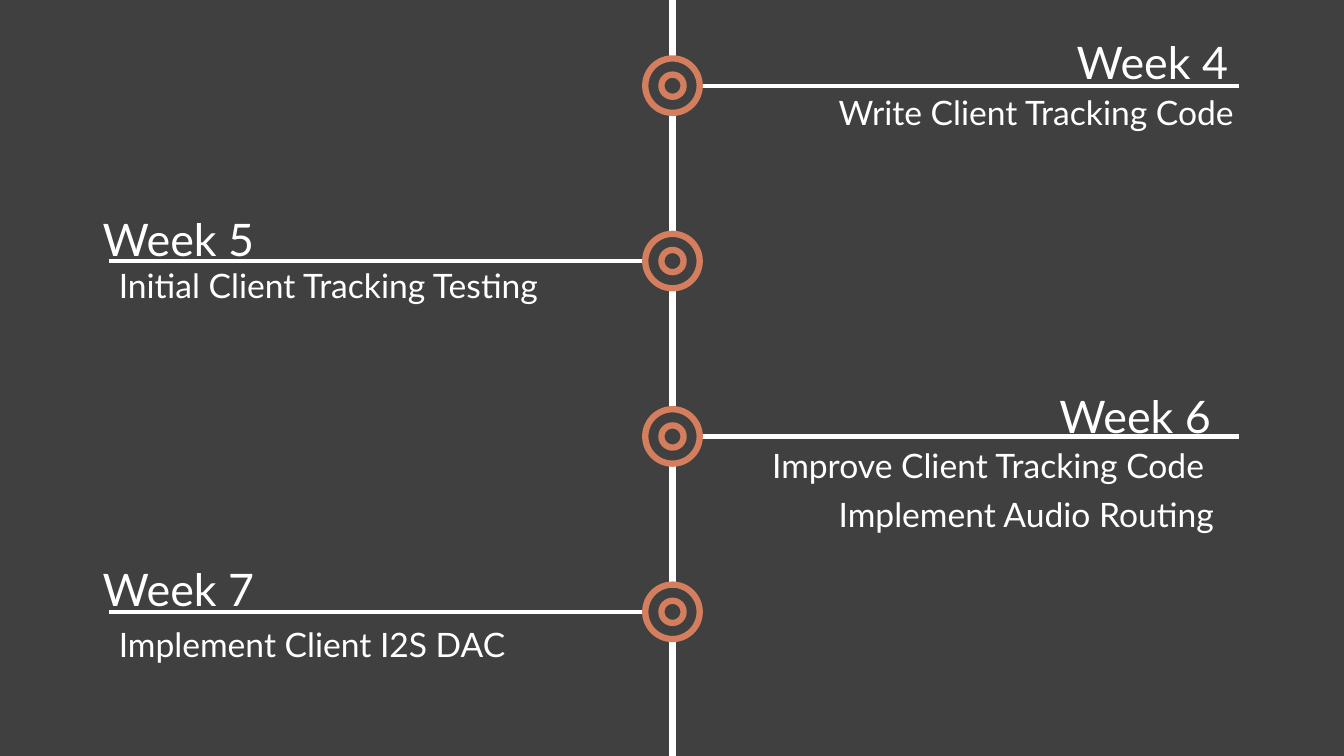
from dataclasses import dataclass

from pptx import Presentation
from pptx.dml.color import RGBColor
from pptx.enum.shapes import MSO_CONNECTOR, MSO_SHAPE
from pptx.util import Inches, Pt
from lxml import etree

LINE = MSO_CONNECTOR.STRAIGHT
OVAL = MSO_SHAPE.OVAL
DRAW_NS = "http://schemas.openxmlformats.org/drawingml/2006/main"


@dataclass(frozen=True)
class Theme:
    back: RGBColor = RGBColor(0x40, 0x40, 0x40)
    ink: RGBColor = RGBColor(0xFF, 0xFF, 0xFF)
    ring: RGBColor = RGBColor(0xD4, 0x7E, 0x5E)
    font: str = "Lato"
    head: int = 32
    task: int = 24
    thick: float = 4.5
    thin: float = 3


THEME = Theme()
WIDTH, HEIGHT = 13.33, 7.5
MID = 6.67
LEFT, RIGHT = 1.08, 12.29
FIRST, STEP = 0.85, 1.74

# Each week: end of its branch, heading box, then task boxes.
# Boxes are (text, left, offset from the branch, width).
WEEKS = [
    (RIGHT, ("Week 4", 10.58, -0.55, 1.83),
     [("Write Client Tracking Code", 8.22, 0.01, 4.24)]),
    (LEFT, ("Week 5", 0.92, -0.54, 5.15),
     [("Initial Client Tracking Testing", 1.08, -0.01, 4.56)]),
    (RIGHT, ("Week 6", 10.41, -0.52, 1.83),
     [("Improve Client Tracking Code", 7.56, 0.03, 4.73),
      ("Implement Audio Routing", 8.22, 0.52, 4.14)]),
    (LEFT, ("Week 7", 0.92, -0.55, 3.92),
     [("Implement Client I2S DAC", 1.08, 0.07, 4.56)]),
]


def add_line(slide, start, end, weight):
    ends = [Inches(n) for n in (*start, *end)]
    line = slide.shapes.add_connector(LINE, *ends)
    line.line.color.rgb = THEME.ink
    line.line.width = Pt(weight)
    props = line._element.spPr
    etree.SubElement(props, f"{{{DRAW_NS}}}effectLst")


def add_ring(slide, y, size):
    box = (MID - size / 2, y - size / 2, size, size)
    ring = slide.shapes.add_shape(OVAL, *[Inches(n) for n in box])
    ring.shadow.inherit = False
    ring.fill.solid()
    ring.fill.fore_color.rgb = THEME.back
    ring.line.color.rgb = THEME.ring
    ring.line.width = Pt(THEME.thick)


def add_text(slide, box, y, height, size):
    text, left, shift, width = box
    place = (left, y + shift, width, height)
    frame = slide.shapes.add_textbox(*[Inches(n) for n in place]).text_frame
    frame.word_wrap = True
    run = frame.paragraphs[0].add_run()
    run.text = text
    style = {"name": THEME.font, "size": Pt(size)}
    for key, value in style.items():
        setattr(run.font, key, value)
    run.font.color.rgb = THEME.ink


def add_week(slide, y, end, head, tasks):
    # Branch and its target marker
    add_line(slide, (MID, y), (end, y), THEME.thin)
    for size in (0.54, 0.22):
        add_ring(slide, y, size)

    # Heading above the branch, tasks below
    add_text(slide, head, y, 0.64, THEME.head)
    for task in tasks:
        add_text(slide, task, y, 0.5, THEME.task)


def add_timeline(slide):
    add_line(slide, (MID, 0), (MID, HEIGHT), THEME.thick)
    for i, week in enumerate(WEEKS):
        add_week(slide, FIRST + i * STEP, *week)


def main():
    deck = Presentation()
    deck.slide_width = Inches(WIDTH)
    deck.slide_height = Inches(HEIGHT)
    slide = deck.slides.add_slide(deck.slide_layouts.get_by_name("Blank"))

    # Background
    fill = slide.background.fill
    fill.solid()
    fill.fore_color.rgb = THEME.back

    add_timeline(slide)
    deck.save("out.pptx")


if __name__ == "__main__":
    main()
